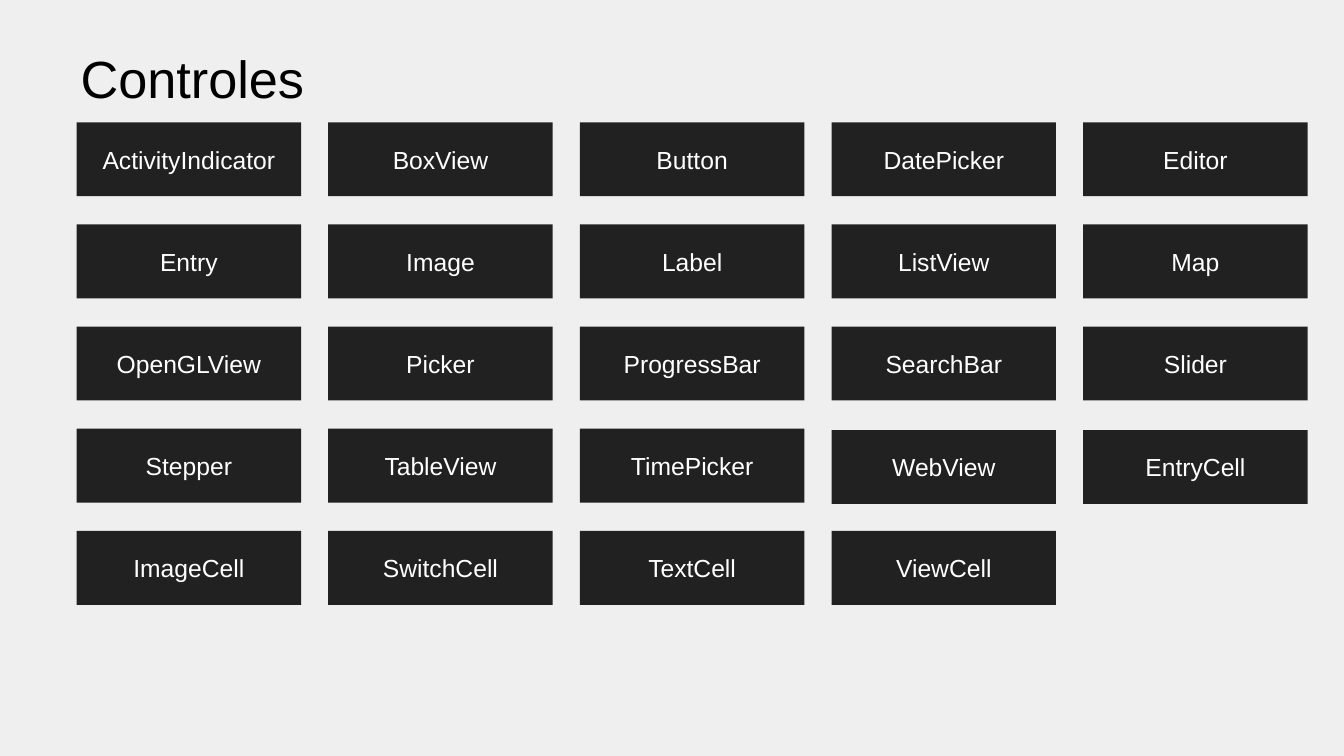
from pptx import Presentation
from pptx.dml.color import RGBColor
from pptx.enum.shapes import MSO_SHAPE as Shape
from pptx.enum.text import MSO_ANCHOR as Anchor, PP_ALIGN as Align
from pptx.util import Inches, Pt

COLORS = {"background": "EFEFEF", "tile": "212121", "label": "FFFFFF", "title": "000000"}
FONT = "Arial"

CONTROLS = [
    ["ActivityIndicator", "BoxView", "Button", "DatePicker", "Editor"],
    ["Entry", "Image", "Label", "ListView", "Map"],
    ["OpenGLView", "Picker", "ProgressBar", "SearchBar", "Slider"],
    ["Stepper", "TableView", "TimePicker", "WebView", "EntryCell"],
    ["ImageCell", "SwitchCell", "TextCell", "ViewCell"],
]

# Grid in inches: the first and last columns fix the pitch
LEFT, LAST_LEFT, TOP = 0.57, 8.06, 0.91
COLUMN_PITCH = (LAST_LEFT - LEFT) / (len(CONTROLS[0]) - 1)
ROW_PITCH = 0.76
TILE_WIDTH, TILE_HEIGHT = 1.67, 0.55


def write(frame, text, size, color, align, anchor):
    frame.word_wrap = True
    frame.vertical_anchor = anchor
    para = frame.paragraphs[0]
    para.alignment = align
    span = para.add_run()
    span.text = text
    span.font.name = FONT
    span.font.size = Pt(size)
    span.font.color.rgb = RGBColor.from_string(COLORS[color])


# Deck and page, 16:9
deck = Presentation()
deck.slide_width = Inches(10)
deck.slide_height = deck.slide_width * 9 // 16
page = deck.slides.add_slide(deck.slide_layouts.get_by_name("Title Only"))
page.background.fill.solid()
page.background.fill.fore_color.rgb = RGBColor.from_string(COLORS["background"])

# Title
title = page.shapes.title
title.left, title.top = Inches(0.5), Inches(0.31)
title.width, title.height = Inches(9), Inches(0.6)
frame = title.text_frame
frame.margin_left = frame.margin_right = Inches(0.1)
frame.margin_top = frame.margin_bottom = Inches(0.1)
write(frame, "Controles", 28, "title", Align.LEFT, Anchor.BOTTOM)

# Grid of control tiles
for row, names in enumerate(CONTROLS):
    for column, name in enumerate(names):
        # The last two tiles of the fourth row sit slightly lower
        drop = 0.01 if name in ("WebView", "EntryCell") else 0
        tile = page.shapes.add_shape(
            Shape.ROUNDED_RECTANGLE,
            Inches(LEFT + column * COLUMN_PITCH),
            Inches(TOP + row * ROW_PITCH + drop),
            Inches(TILE_WIDTH),
            Inches(TILE_HEIGHT),
        )
        tile.adjustments[0] = 0
        tile.shadow.inherit = False
        tile.fill.solid()
        tile.fill.fore_color.rgb = RGBColor.from_string(COLORS["tile"])
        tile.line.fill.background()
        write(tile.text_frame, name, 13.2, "label", Align.CENTER, Anchor.MIDDLE)

deck.save("out.pptx")
